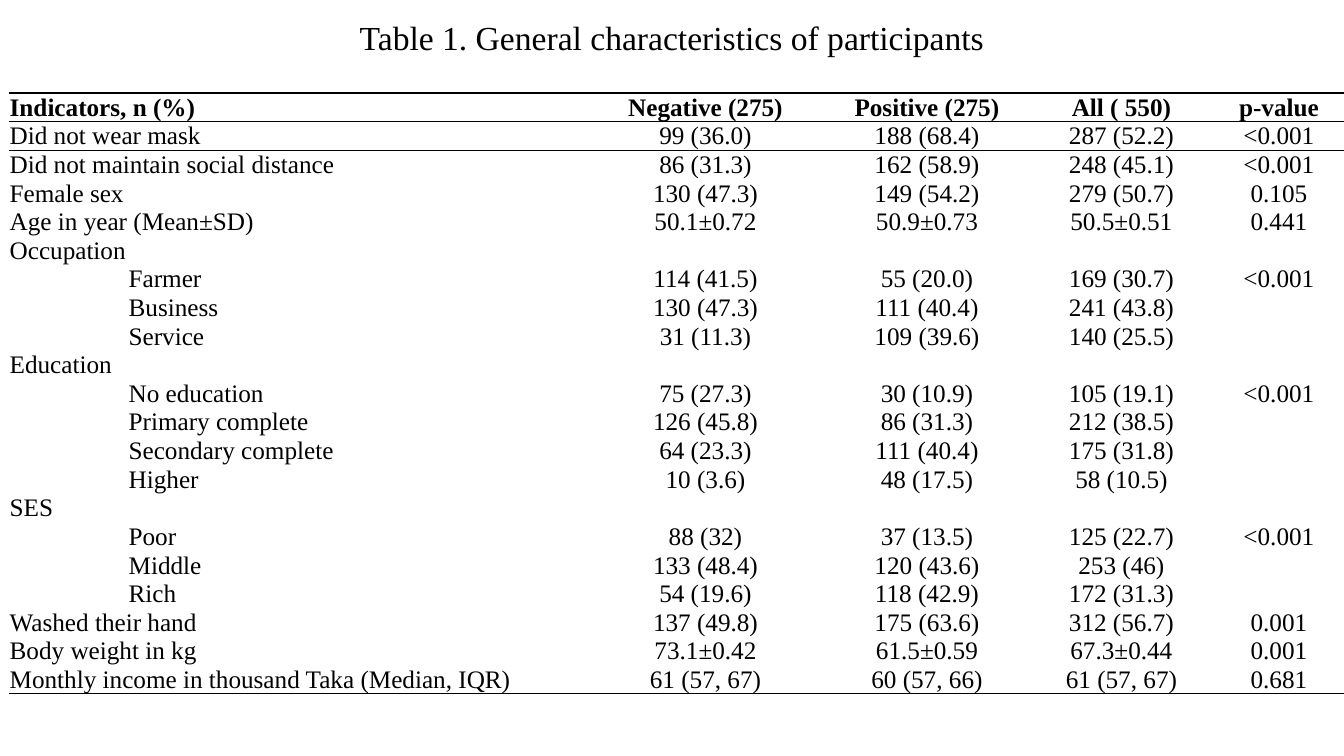
from lxml.etree import SubElement
from pptx import Presentation
from pptx.dml.color import RGBColor
from pptx.enum.text import MSO_ANCHOR, MSO_AUTO_SIZE, PP_ALIGN
from pptx.oxml import parse_xml
from pptx.oxml.ns import nsdecls, qn
from pptx.util import Emu, Pt

BLACK = RGBColor(0x00, 0x00, 0x00)
PX = 12192000 / 1344
SLIDE_WIDTH, SLIDE_HEIGHT = 1344, 756
NO_STYLE_NO_GRID = "{2D5ABB26-0587-4C30-8999-92F81FD0307C}"

TITLE = "Table 1. General characteristics of participants"
COLUMN_WIDTHS = [119, 459, 237, 206, 183, 132]
# A label in the first column spans two; a label in the second is a subgroup.
ROWS = [
    ("Indicators, n (%)", "", "Negative (275)", "Positive (275)", "All ( 550)", "p-value"),
    ("Did not wear mask", "", "99 (36.0)", "188 (68.4)", "287 (52.2)", "<0.001"),
    ("Did not maintain social distance", "", "86 (31.3)", "162 (58.9)", "248 (45.1)", "<0.001"),
    ("Female sex", "", "130 (47.3)", "149 (54.2)", "279 (50.7)", "0.105"),
    ("Age in year (Mean±SD)", "", "50.1±0.72", "50.9±0.73", "50.5±0.51", "0.441"),
    ("Occupation", "", "", "", "", ""),
    ("", "Farmer", "114 (41.5)", "55 (20.0)", "169 (30.7)", "<0.001"),
    ("", "Business", "130 (47.3)", "111 (40.4)", "241 (43.8)", ""),
    ("", "Service", "31 (11.3)", "109 (39.6)", "140 (25.5)", ""),
    ("Education", "", "", "", "", ""),
    ("", "No education", "75 (27.3)", "30 (10.9)", "105 (19.1)", "<0.001"),
    ("", "Primary complete", "126 (45.8)", "86 (31.3)", "212 (38.5)", ""),
    ("", "Secondary complete", "64 (23.3)", "111 (40.4)", "175 (31.8)", ""),
    ("", "Higher", "10 (3.6)", "48 (17.5)", "58 (10.5)", ""),
    ("SES", "", "", "", "", ""),
    ("", "Poor", "88 (32)", "37 (13.5)", "125 (22.7)", "<0.001"),
    ("", "Middle", "133 (48.4)", "120 (43.6)", "253 (46)", ""),
    ("", "Rich", "54 (19.6)", "118 (42.9)", "172 (31.3)", ""),
    ("Washed their hand", "", "137 (49.8)", "175 (63.6)", "312 (56.7)", "0.001"),
    ("Body weight in kg", "", "73.1±0.42", "61.5±0.59", "67.3±0.44", "0.001"),
    ("Monthly income in thousand Taka (Median, IQR)", "",
     "61 (57, 67)", "60 (57, 66)", "61 (57, 67)", "0.681"),
]


def px(length):
    return Emu(round(length * PX))


class SlideBuilder:
    font_name = "Times New Roman"
    title_size = 24
    cell_size = 18

    def __init__(self, slide):
        self.slide = slide

    def format_text(self, paragraph, size, bold=False):
        for run in paragraph.runs:
            run.font.name = self.font_name
            run.font.size = Pt(size)
            run.font.bold = bold
            run.font.color.rgb = BLACK

    def title(self, text, left, top, width, height):
        shape = self.slide.shapes.title
        shape.left, shape.top = px(left), px(top)
        shape.width, shape.height = px(width), px(height)
        frame = shape.text_frame
        frame.text = text
        frame.word_wrap = True
        frame.auto_size = MSO_AUTO_SIZE.NONE
        frame.vertical_anchor = MSO_ANCHOR.MIDDLE
        paragraph = frame.paragraphs[0]
        paragraph.alignment = PP_ALIGN.CENTER
        self.format_text(paragraph, self.title_size)

    def table(self, rows, column_widths, left, top, height, row_height):
        shape = self.slide.shapes.add_table(
            len(rows), len(column_widths), px(left), px(top),
            px(sum(column_widths)), px(height))
        shape._element.xpath(".//a:tableStyleId")[0].text = NO_STYLE_NO_GRID
        table = shape.table
        table.first_row = table.horz_banding = False
        for column, width in zip(table.columns, column_widths):
            column.width = px(width)
        for row in table.rows:
            row.height = px(row_height)
        shape.height = px(height)

        last = len(rows) - 1
        for row_index, values in enumerate(rows):
            sides = {0: ("lnT", "lnB"), 1: ("lnT",), last: ("lnB",)}.get(row_index, ())
            for column_index, value in enumerate(values):
                cell = table.cell(row_index, column_index)
                self.cell(cell, value, column_index > 1, row_index == 0)
                self.borders(cell, sides)
            if values[0]:
                table.cell(row_index, 0).merge(table.cell(row_index, 1))

    def cell(self, cell, text, centred, bold):
        cell.fill.background()
        cell.vertical_anchor = MSO_ANCHOR.MIDDLE
        cell.margin_left = cell.margin_right = cell.margin_top = Pt(0.5)
        cell.margin_bottom = 0
        paragraph = cell.text_frame.paragraphs[0]
        paragraph.alignment = PP_ALIGN.CENTER if centred else PP_ALIGN.LEFT
        if text:
            paragraph.text = text
            self.format_text(paragraph, self.cell_size, bold)
        else:
            # Empty cells keep the row as low as the text cells
            end = SubElement(paragraph._p, qn("a:endParaRPr"), sz=str(self.cell_size * 100))
            SubElement(end, qn("a:latin"), typeface=self.font_name)

    def borders(self, cell, sides):
        properties = cell._tc.get_or_add_tcPr()
        for index, side in enumerate(sides):
            properties.insert(index, parse_xml(
                f'<a:{side} {nsdecls("a")} w="{Pt(1)}"><a:solidFill>'
                f'<a:srgbClr val="{BLACK}"/></a:solidFill></a:{side}>'))


def main():
    presentation = Presentation()
    presentation.slide_width = px(SLIDE_WIDTH)
    presentation.slide_height = px(SLIDE_HEIGHT)
    slide = presentation.slides.add_slide(presentation.slide_layouts[5])
    builder = SlideBuilder(slide)

    # Characteristics table
    builder.table(ROWS, COLUMN_WIDTHS, left=9, top=93, height=650, row_height=9)

    # Heading
    builder.title(TITLE, 0, 12, SLIDE_WIDTH, 50)

    presentation.save("out.pptx")


if __name__ == "__main__":
    main()
